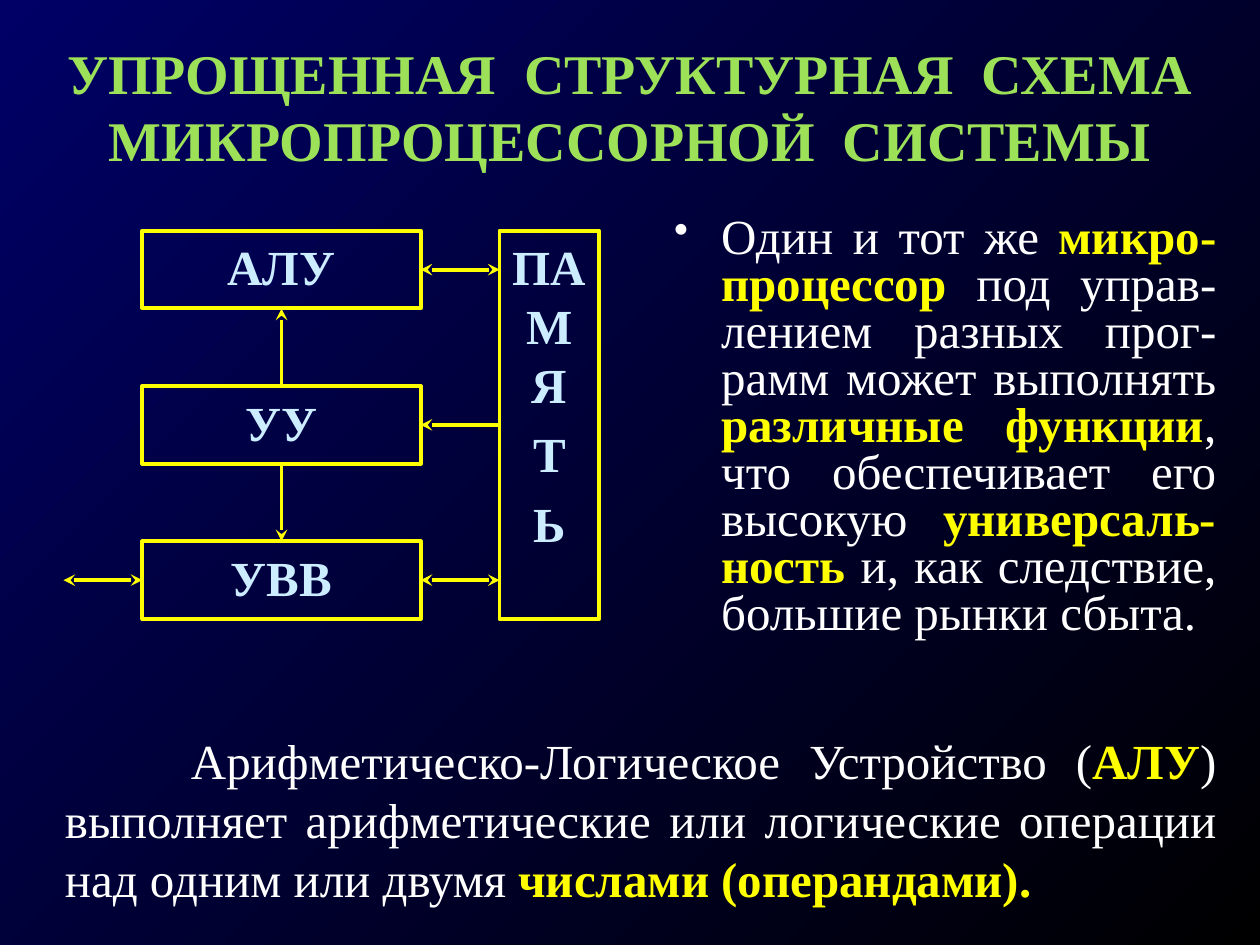
from dataclasses import dataclass

from lxml import etree
from pptx import Presentation
from pptx.dml.color import RGBColor
from pptx.enum.shapes import MSO_CONNECTOR, MSO_SHAPE
from pptx.enum.text import MSO_ANCHOR, MSO_AUTO_SIZE, PP_ALIGN
from pptx.oxml.ns import qn
from pptx.util import Cm, Pt

RECT = MSO_SHAPE.RECTANGLE
LINE = MSO_CONNECTOR.STRAIGHT
TOP = MSO_ANCHOR.TOP
FIXED = MSO_AUTO_SIZE.NONE
MID = PP_ALIGN.CENTER
FULL = PP_ALIGN.JUSTIFY


@dataclass(frozen=True)
class Theme:
    font: str = "Times New Roman"
    head: str = "9CE157"
    body: str = "FFFFFF"
    key: str = "FFFF00"
    label: str = "CCECFF"
    start: str = "000066"
    end: str = "000000"
    big: int = 32
    size: int = 28
    rule: float = 2.25


def color(code):
    return RGBColor.from_string(code)


def node(parent, tag, **attrs):
    return etree.SubElement(parent, qn(tag), attrs)


class Deck:
    def __init__(self, show, theme):
        self.theme = theme
        self.slide = show.slides.add_slide(show.slide_layouts[5])
        self.group = self.slide.shapes.add_group_shape().shapes

    def back(self):
        fill = self.slide.background.fill
        fill.gradient()
        fill.gradient_angle = 315
        for stop, code in zip(fill.gradient_stops, (self.theme.start, self.theme.end)):
            stop.color.rgb = color(code)

    def frame(self, shape):
        text = shape.text_frame
        text.word_wrap = True
        text.auto_size = FIXED
        text.vertical_anchor = TOP
        return text

    def run(self, para, words, code, bold, size=None):
        run = para.add_run()
        run.text = words
        font = run.font
        font.name = self.theme.font
        font.size = Pt(size or self.theme.size)
        font.bold = bold
        font.color.rgb = color(code)

    def title(self, words, left, top, width, height):
        shape = self.slide.shapes.title
        shape.left, shape.top = Cm(left), Cm(top)
        shape.width, shape.height = Cm(width), Cm(height)
        para = self.frame(shape).paragraphs[0]
        para.alignment = MID
        self.run(para, words, self.theme.head, True, self.theme.big)

    def prose(self, parts, left, top, width, height, before):
        area = map(Cm, (left, top, width, height))
        para = self.frame(self.slide.shapes.add_textbox(*area)).paragraphs[0]
        para.alignment = FULL
        para.space_before = Pt(before)
        for words, bold in parts:
            self.run(para, words, self.theme.key if bold else self.theme.body, bold)
        return para

    def indent(self, para, left, first):
        props = para._p.get_or_add_pPr()
        props.set("marL", str(Cm(left)))
        props.set("indent", str(Cm(first)))
        return props

    def bullet(self, para, gap):
        props = self.indent(para, gap, -gap)
        node(node(props, "a:buClr"), "a:srgbClr", val=self.theme.body)
        node(props, "a:buSzPct", val="85000")
        node(props, "a:buChar", char="•")

    def box(self, lines, left, top, width, height, before=0):
        shape = self.group.add_shape(RECT, *map(Cm, (left, top, width, height)))
        shape.shadow.inherit = False
        shape.fill.background()
        shape.line.color.rgb = color(self.theme.key)
        shape.line.width = Pt(self.theme.rule)
        text = self.frame(shape)
        for spot, words in enumerate(lines):
            para = text.add_paragraph() if spot else text.paragraphs[0]
            para.alignment = MID
            para.space_before = Pt(before)
            self.run(para, words, self.theme.label, True)

    def arrow(self, start, end, both=False):
        line = self.group.add_connector(LINE, *map(Cm, (*start, *end)))
        line.line.color.rgb = color(self.theme.key)
        line.line.width = Pt(self.theme.rule)
        stroke = line.line._get_or_add_ln()
        if both:
            node(stroke, "a:headEnd", type="stealth")
        node(stroke, "a:tailEnd", type="stealth")
        node(line._element.spPr, "a:effectLst")


def main():
    show = Presentation()
    show.slide_width, show.slide_height = Cm(25.4), Cm(19.05)
    deck = Deck(show, Theme())
    deck.back()
    deck.title("УПРОЩЕННАЯ  СТРУКТУРНАЯ  СХЕМА МИКРОПРОЦЕССОРНОЙ  СИСТЕМЫ",
               0, 0.64, 25.4, 3.18)

    left, top, width, height, step = 2.87, 4.65, 5.61, 1.57, 3.13
    right, gap = left + width, 1.59
    store = right + gap
    rows = [top + step * spot for spot in range(3)]
    mids = [row + height / 2 for row in rows]
    for name, row in zip(("АЛУ", "УУ", "УВВ"), rows):
        deck.box([name], left, row, width, height)
    deck.box(["ПАМЯ", "Т", "Ь"], store, top, 2.01, 2 * step + height, 6)

    for mid, both in zip(mids, (True, False, True)):
        deck.arrow((store, mid), (right, mid), both)
    axis = left + width / 2
    deck.arrow((axis, rows[1]), (axis, rows[0] + height))
    deck.arrow((axis, rows[1] + height), (axis, rows[2]))
    deck.arrow((left - gap, mids[2]), (left, mids[2]), True)

    point = deck.prose([
        ("Один и тот же ", False),
        ("микро-процессор", True),
        (" под управ-лением разных прог-рамм может выполнять ", False),
        ("различные функции", True),
        (", что обеспечивает его высокую ", False),
        ("универсаль-ность", True),
        (" и, как следствие, большие рынки сбыта.", False),
    ], 13.34, 4.24, 11.43, 9.32, 7)
    point.line_spacing = 0.8
    deck.bullet(point, 0.95)

    note = deck.prose([
        ("Арифметическо-Логическое Устройство (", False),
        ("АЛУ", True),
        (") выполняет арифметические или логические операции над одним или двумя ", False),
        ("числами (операндами).", True),
    ], 1.06, 14.61, 23.71, 3.81, 15)
    deck.indent(note, 0, 2.54)
    show.save("out.pptx")


if __name__ == "__main__":
    main()
